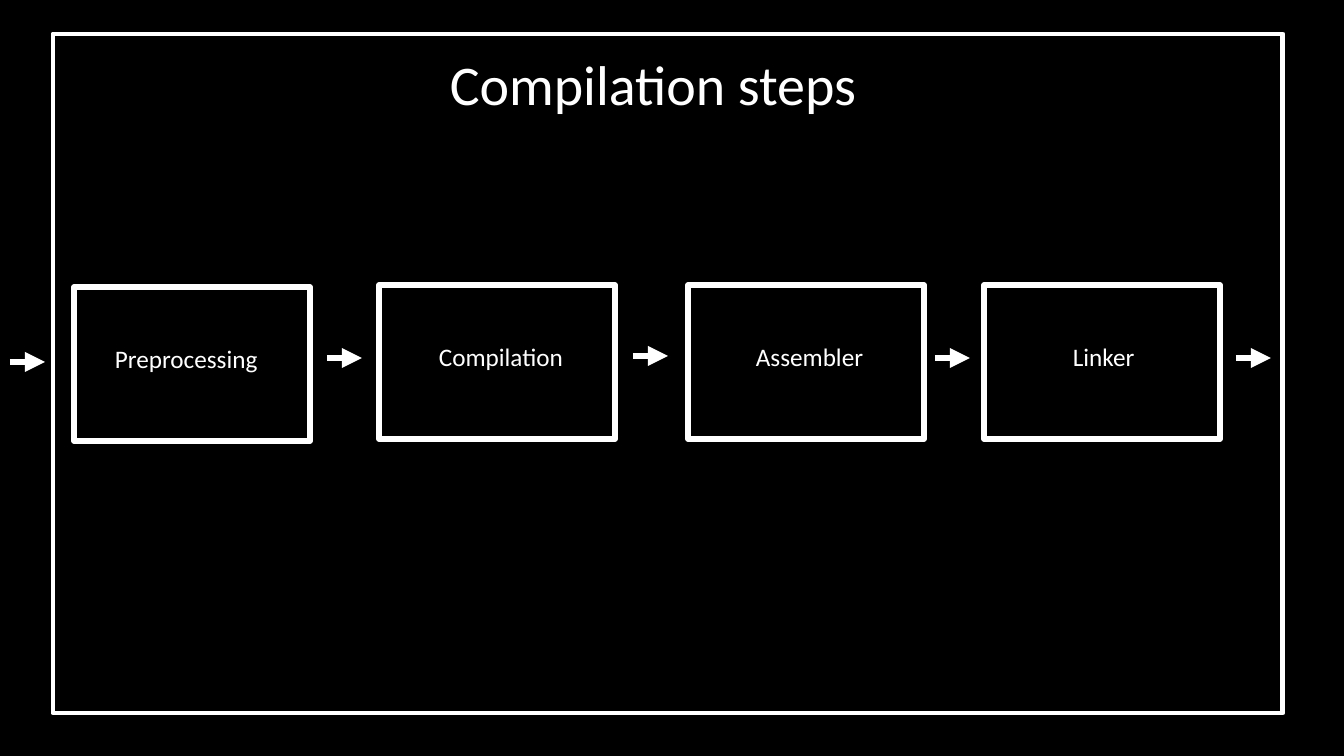
import pptx
import pptx.util
import pptx.dml.color
import pptx.enum.shapes
import pptx.oxml.ns
from lxml import etree

PX = 914400 / 100.8
COLORS = {"background": "000000", "ink": "FFFFFF"}
FONT = "Calibri"

# Step name, box left, label inset from the box, label width
STEPS = [
    ("Preprocessing", 74, 31, 190),
    ("Compilation", 379, 50, 190),
    ("Assembler", 688, 58, 190),
    ("Linker", 984, 79, 127),
]
# Left end and height of each arrow, from input to output
ARROWS = [(10, 362), (327, 358), (633, 356), (935, 358), (1236, 358)]
ARROW_W = 35


def px(n):
    return pptx.util.Emu(round(n * PX))


def color(name):
    return pptx.dml.color.RGBColor.from_string(COLORS[name])


def add_outline(s, x, y, w, h, weight):
    box = s.shapes.add_shape(pptx.enum.shapes.MSO_SHAPE.RECTANGLE,
                             px(x), px(y), px(w), px(h))
    box.shadow.inherit = False
    box.fill.background()
    box.line.color.rgb = color("ink")
    box.line.width = pptx.util.Pt(weight)


def add_text(s, x, y, w, h, text, size):
    tf = s.shapes.add_textbox(px(x), px(y), px(w), px(h)).text_frame
    tf.word_wrap = True
    tf.text = text
    font = tf.paragraphs[0].runs[0].font
    font.name = FONT
    font.size = pptx.util.Pt(size)
    font.color.rgb = color("ink")


def add_arrow(s, x, y, w):
    arrow = s.shapes.add_connector(pptx.enum.shapes.MSO_CONNECTOR.STRAIGHT,
                                   px(x), px(y), px(x + w), px(y))
    arrow.line.color.rgb = color("ink")
    arrow.line.width = pptx.util.Pt(4.75)
    qn = pptx.oxml.ns.qn
    etree.SubElement(arrow.line._get_or_add_ln(), qn("a:tailEnd"), type="triangle")
    etree.SubElement(arrow._element.spPr, qn("a:effectLst"))


def add_frame(s, x, y, w, h):
    add_outline(s, x, y, w, h, 3.5)
    add_text(s, x + 387, y + 11, 562, 78, "Compilation steps", 40)


def add_step(s, x, y, w, h, name, inset, label_w):
    add_outline(s, x, y, w, h, 4)
    add_text(s, x + inset, y + 51, label_w, 40, name, 18)


def build_slide(prs):
    s = prs.slides.add_slide(prs.slide_layouts[6])
    s.background.fill.solid()
    s.background.fill.fore_color.rgb = color("background")

    # Frame with title
    add_frame(s, 53, 34, 1230, 679)

    # Pipeline: the first step sits slightly lower
    for i, (name, x, inset, label_w) in enumerate(STEPS):
        y = 287 if i == 0 else 285
        add_step(s, x, y, 236, 154, name, inset, label_w)

    # Arrows between the steps
    for x, y in ARROWS:
        add_arrow(s, x, y, ARROW_W)


def main():
    prs = pptx.Presentation()
    prs.slide_width, prs.slide_height = px(1344), px(756)
    build_slide(prs)
    prs.save("out.pptx")


if __name__ == "__main__":
    main()
